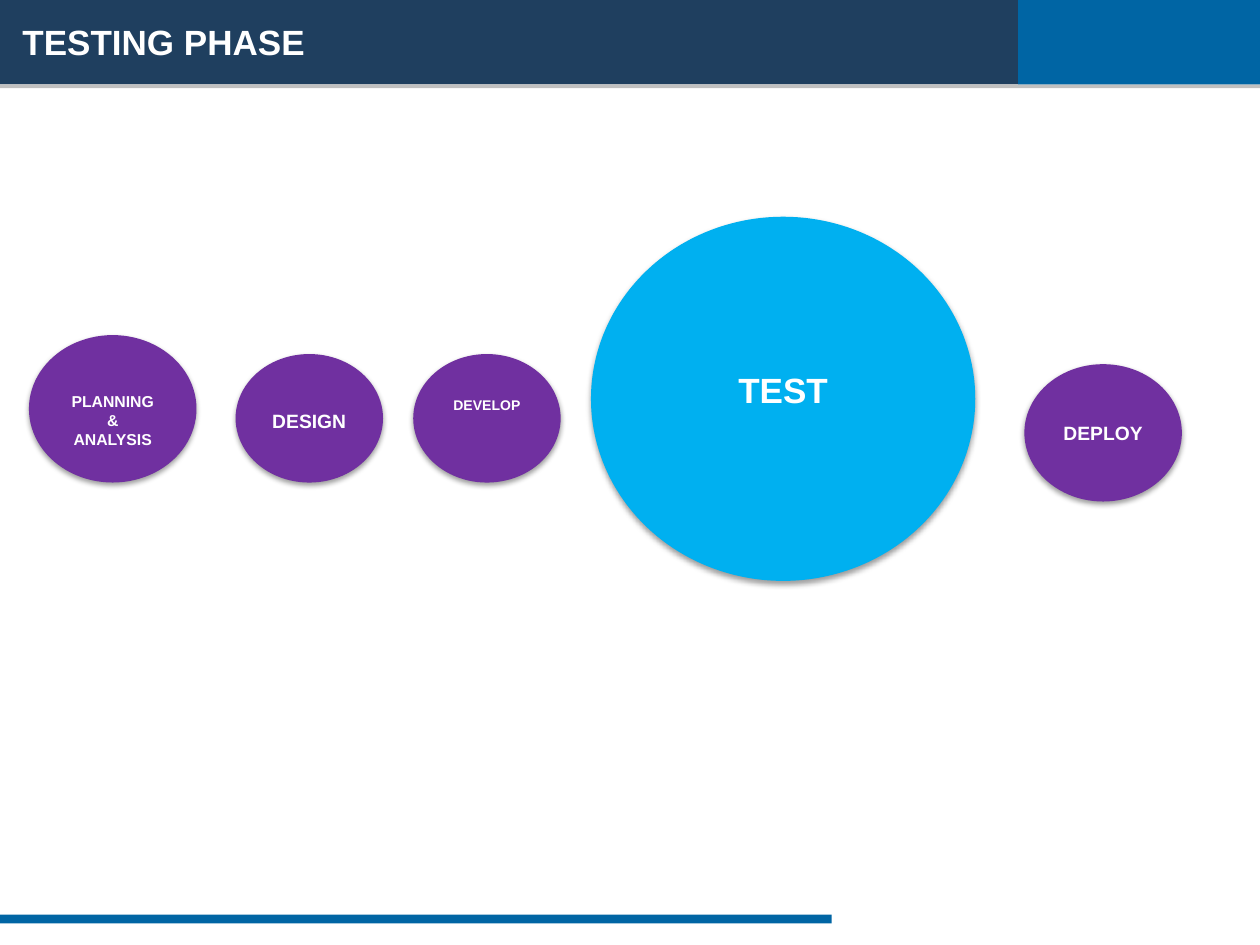
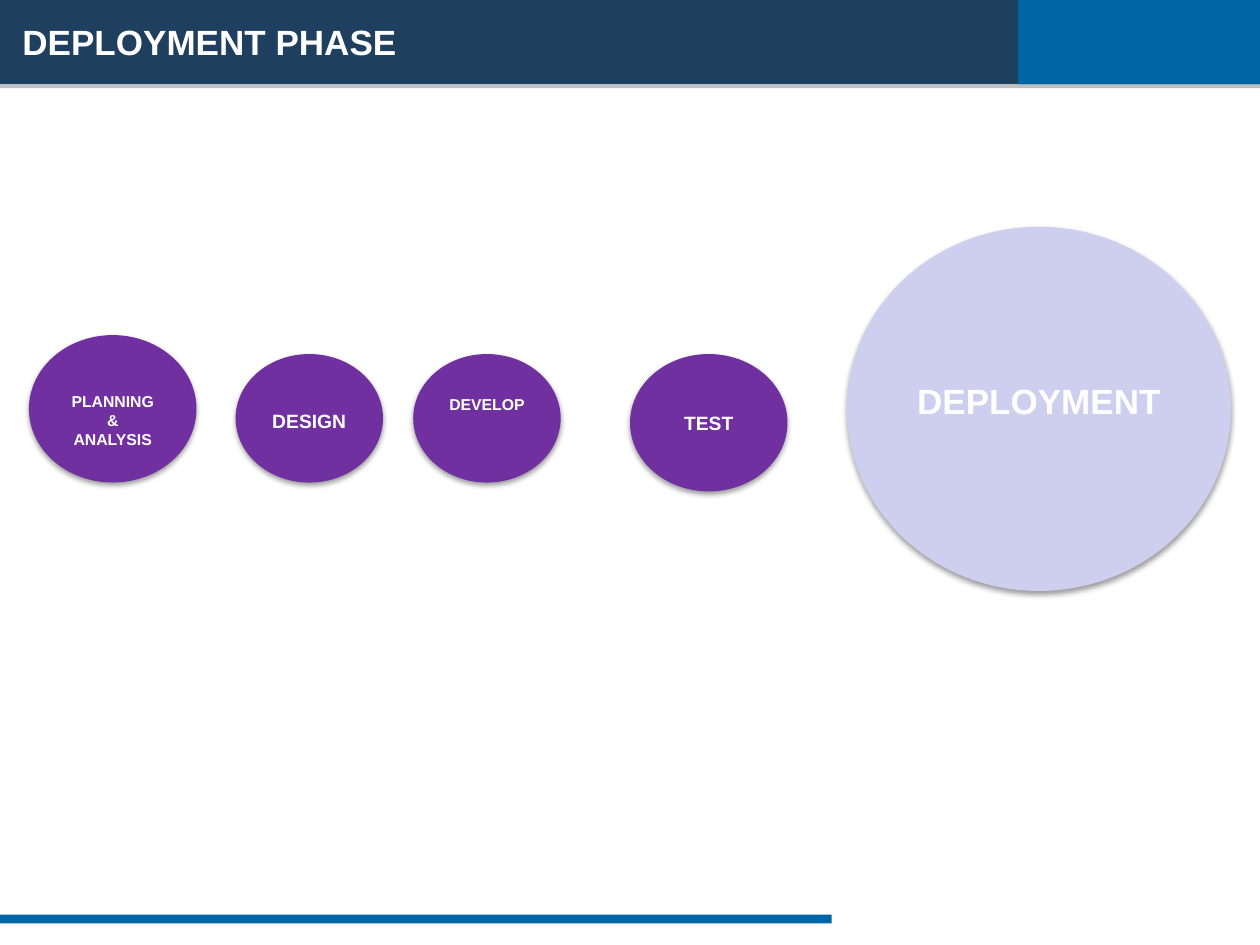
import dataclasses

import pptx
import pptx.dml.color
import pptx.enum.shapes
import pptx.enum.text
import pptx.oxml
import pptx.oxml.ns
import pptx.util

Inches = pptx.util.Inches
Shapes = pptx.enum.shapes.MSO_SHAPE
Align = pptx.enum.text.PP_ALIGN
Anchor = pptx.enum.text.MSO_ANCHOR


@dataclasses.dataclass(frozen=True)
class Theme:
    font: str = "Arial"
    navy: str = "1F3F5F"
    blue: str = "0065A4"
    silver: str = "C0C0C0"
    purple: str = "7030A0"
    sky: str = "00B0F0"
    lavender: str = "CECEEF"
    white: str = "FFFFFF"
    heading: int = 20
    label: int = 11
    small: int = 9
    tiny: int = 8


@dataclasses.dataclass(frozen=True)
class Phase:
    text: str
    box: tuple
    size: int = Theme.label
    fill: str = Theme.purple
    side_inset: float = 0.11
    shift: float = 0


THEME = Theme()
PAGE_SIZE = (10, 7.5)
HEADER_BOX = (0, 0, 10, 0.7)
FOOTER_BOX = (0, 7.26, 6.6, 0.07)
FLOW_BOX = (0.23, 1.72, 9.54, 2.97)
STEP_SIZE = (1.17, 1.02)
END_SIZE = (1.25, 1.09)
FOCUS_SIZE = (3.05, 2.89)
FOCUS_FORMAT = {"size": THEME.heading, "side_inset": 0.1, "shift": -0.07}
SHADOW = (
    f'<a:effectLst {pptx.oxml.ns.nsdecls("a")}>'
    '<a:outerShdw blurRad="39370" dist="20320" dir="5400000" rotWithShape="0">'
    '<a:srgbClr val="000000"><a:alpha val="38000"/></a:srgbClr>'
    '</a:outerShdw></a:effectLst>'
)


def apply_format(target, values):
    for name, value in values.items():
        setattr(target, name, value)


def write_text(shape, text, size, frame_format, alignment):
    frame = shape.text_frame
    apply_format(frame, {
        "word_wrap": True,
        "vertical_anchor": Anchor.MIDDLE,
        **frame_format,
    })
    para = frame.paragraphs[0]
    para.alignment = alignment
    span = para.add_run()
    span.text = text
    apply_format(span.font, {
        "name": THEME.font, "size": pptx.util.Pt(size), "bold": True})
    span.font.color.rgb = pptx.dml.color.RGBColor.from_string(THEME.white)


def add_filled(page, kind, box, color):
    shape = page.shapes.add_shape(kind, *map(Inches, box))
    shape.shadow.inherit = False
    shape.fill.solid()
    shape.fill.fore_color.rgb = pptx.dml.color.RGBColor.from_string(color)
    shape.line.fill.background()
    return shape


def add_header(page, box, title):
    left, top, width, height = box
    rule = 0.03
    band = height - rule
    split = 8.08
    margin = 0.08
    for part, color in (
        ((left, top, split, band), THEME.navy),
        ((left, top + band, width, rule), THEME.silver),
        ((left + split, top, width - split, band), THEME.blue),
    ):
        add_filled(page, Shapes.RECTANGLE, part, color)
    title_box = (left + margin, top + margin, 7.83, 0.5)
    shape = page.shapes.add_textbox(*map(Inches, title_box))
    write_text(shape, title, THEME.heading, {}, Align.LEFT)


def add_phase(page, origin, phase):
    left, top, width, height = phase.box
    box = (origin[0] + left, origin[1] + top, width, height)
    shape = add_filled(page, Shapes.OVAL, box, phase.fill)
    properties = shape._element.spPr
    properties.replace(
        properties.find(pptx.oxml.ns.qn("a:effectLst")),
        pptx.oxml.parse_xml(SHADOW))
    write_text(shape, phase.text, phase.size, {
        "margin_left": Inches(phase.side_inset),
        "margin_right": Inches(phase.side_inset),
        "margin_top": Inches(max(0, 2 * phase.shift)),
        "margin_bottom": Inches(max(0, -2 * phase.shift)),
    }, Align.CENTER)


def add_flow(page, box, develop_size, phases):
    first_steps = (
        Phase("PLANNING & ANALYSIS", (0, 0.94, 1.33, 1.17),
              size=THEME.small, shift=0.09),
        Phase("DESIGN", (1.64, 1.09, *STEP_SIZE), shift=0.02),
        Phase("DEVELOP", (3.05, 1.09, *STEP_SIZE),
              size=develop_size, shift=-0.11),
    )
    for phase in (*first_steps, *phases):
        add_phase(page, box[:2], phase)


def add_phase_page(deck, title, develop_size, phases):
    page = deck.slides.add_slide(deck.slide_layouts[6])
    add_header(page, HEADER_BOX, title)
    add_filled(page, Shapes.RECTANGLE, FOOTER_BOX, THEME.blue)
    add_flow(page, FLOW_BOX, develop_size, phases)


def main():
    deck = pptx.Presentation()
    deck.slide_width, deck.slide_height = map(Inches, PAGE_SIZE)
    add_phase_page(deck, "TESTING PHASE", THEME.tiny, (
        Phase("TEST", (4.46, 0, *FOCUS_SIZE), fill=THEME.sky, **FOCUS_FORMAT),
        Phase("DEPLOY", (7.9, 1.17, *END_SIZE)),
    ))
    add_phase_page(deck, "DEPLOYMENT PHASE", THEME.small, (
        Phase("TEST", (4.77, 1.09, *END_SIZE)),
        Phase("DEPLOYMENT", (6.49, 0.08, *FOCUS_SIZE),
              fill=THEME.lavender, **FOCUS_FORMAT),
    ))
    deck.save("out.pptx")


if __name__ == "__main__":
    main()
